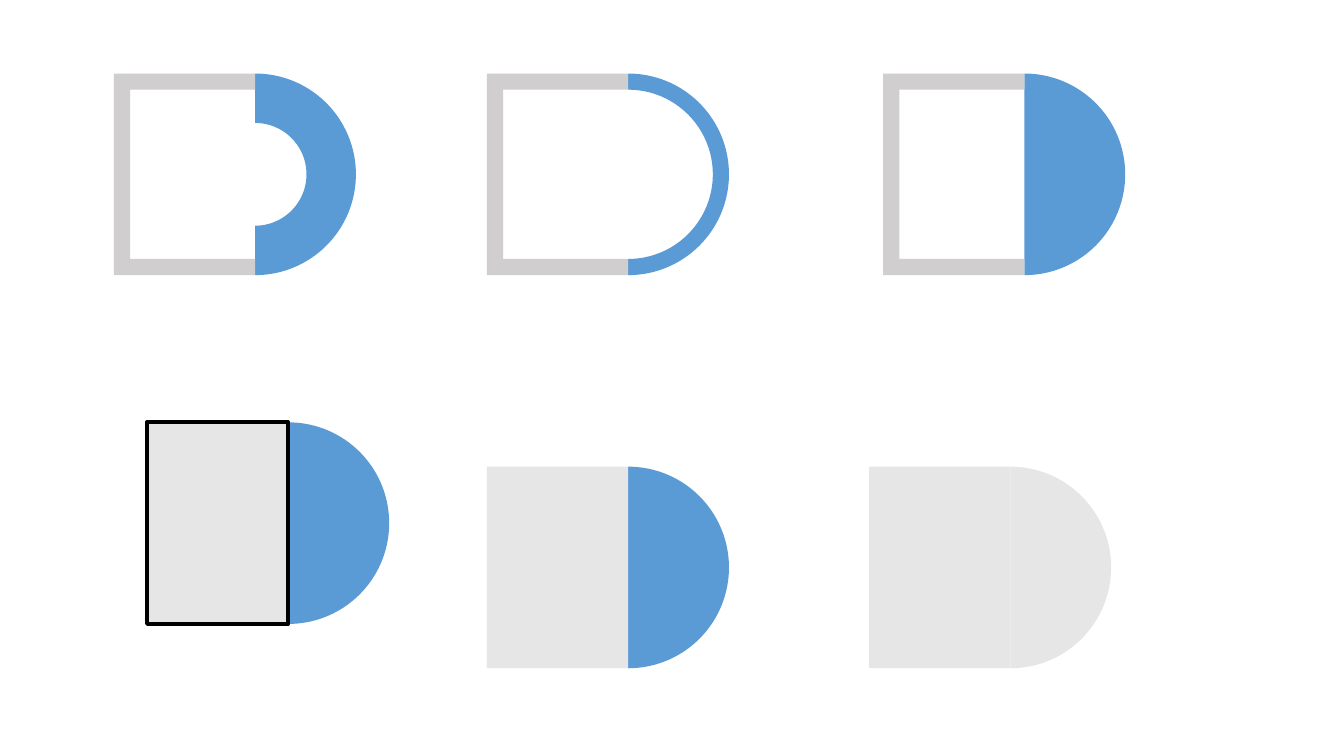
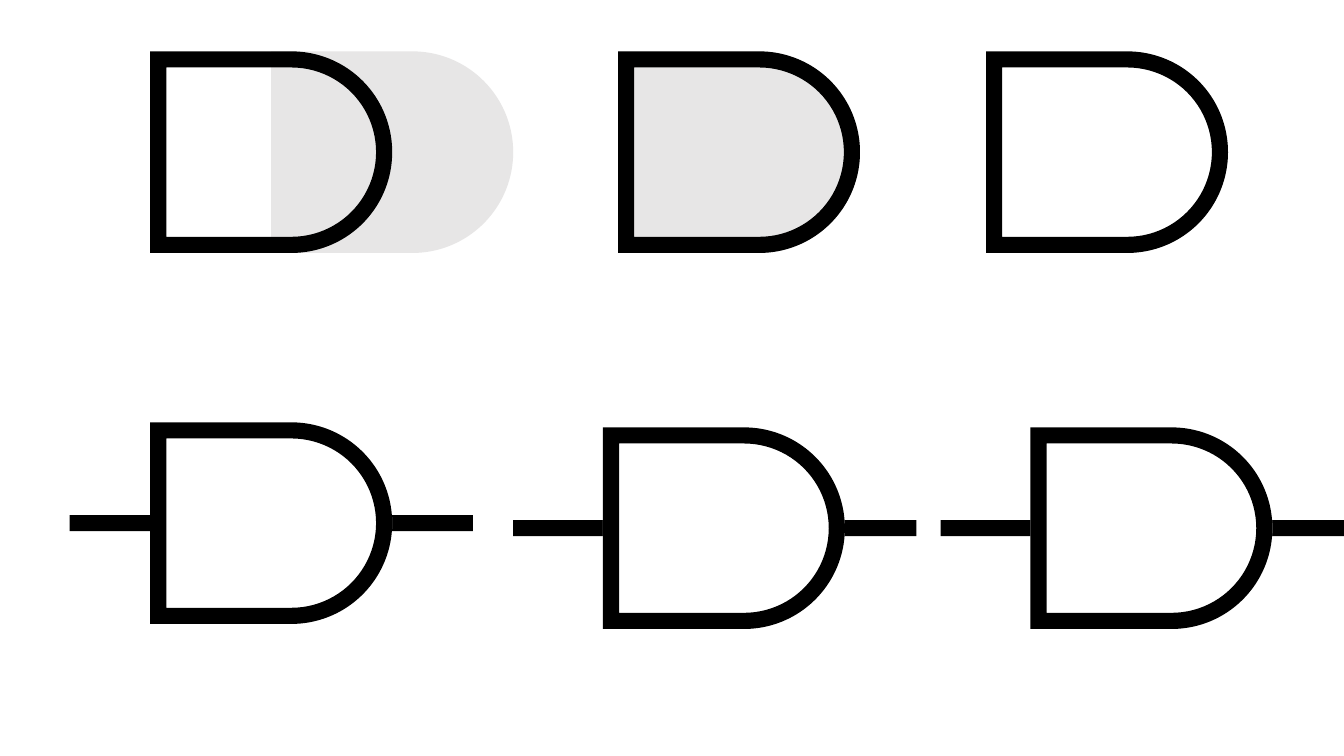
"""Build two slides that assemble a D-shaped logic gate from simple parts."""
from dataclasses import dataclass
from typing import NamedTuple

from lxml import etree
from pptx import Presentation
from pptx.dml.color import RGBColor
from pptx.enum.shapes import MSO_SHAPE
from pptx.oxml.ns import qn
from pptx.util import Emu, Pt

RECTANGLE = MSO_SHAPE.RECTANGLE
BLOCK_ARC = MSO_SHAPE.BLOCK_ARC

PX = 9144
SLIDE_WIDTH, SLIDE_HEIGHT = 1333, 750
BODY_WIDTH, GATE_HEIGHT = 140, 200
RADIUS = GATE_HEIGHT // 2
STROKE = 16
WIRE_LENGTH = 400
HALF_TURN = 108
ARC_START, ARC_SWEEP = "16200000", "10800000"
LINES_PER_GATE = 4

Point = tuple[int, int]


@dataclass(frozen=True)
class Theme:
    ink: RGBColor = RGBColor(0x00, 0x00, 0x00)
    paper: RGBColor = RGBColor(0xFF, 0xFF, 0xFF)
    accent: RGBColor = RGBColor(0x5B, 0x9B, 0xD5)
    bracket: RGBColor = RGBColor(0xD0, 0xCE, 0xCE)
    body: RGBColor = RGBColor(0xE7, 0xE6, 0xE6)
    outline: Pt = Pt(3)


THEME = Theme()


class Assembly(NamedTuple):
    left: int
    top: int
    arc_depth: float
    arc_color: RGBColor = THEME.accent
    bracketed: bool = False
    outlined: bool = False


class Gate(NamedTuple):
    left: int
    top: int
    interior: RGBColor
    interior_shift: int = 0
    wire_lead: int = 0


ASSEMBLIES = (
    Assembly(113, 73, 0.245, bracketed=True),
    Assembly(483, 73, 0.08, bracketed=True),
    Assembly(876, 73, 0.5, bracketed=True),
    Assembly(146, 419, 0.5, outlined=True),
    Assembly(483, 463, 0.5),
    Assembly(862, 463, 0.5, arc_color=THEME.body),
)

GATES = (
    Gate(149, 51, THEME.body, interior_shift=120),
    Gate(613, 51, THEME.body),
    Gate(978, 51, THEME.paper),
    Gate(149, 419, THEME.paper, wire_lead=80),
    Gate(598, 424, THEME.paper, wire_lead=89),
    Gate(1022, 424, THEME.paper, wire_lead=89),
)


def paint(shape, color: RGBColor) -> None:
    shape.shadow.inherit = False
    shape.fill.solid()
    shape.fill.fore_color.rgb = color
    shape.line.fill.background()


def add_preset(shapes, kind, left: int, top: int, width: int, height: int, color: RGBColor):
    shape = shapes.add_shape(kind, *(Emu(n * PX) for n in (left, top, width, height)))
    paint(shape, color)
    return shape


def add_outline(shapes, contours: list[list[Point]], color: RGBColor):
    builder = shapes.build_freeform(*contours[0][0], scale=PX)
    for index, contour in enumerate(contours):
        if index:
            builder.move_to(*contour[0])
        builder.add_line_segments(contour[1:], close=True)
    shape = builder.convert_to_shape()
    paint(shape, color)
    return shape


def gate_contour(left: int, top: int, inset: int) -> list[Point]:
    center_x, center_y = left + BODY_WIDTH, top + RADIUS
    radius = RADIUS - inset
    upper, lower = center_y - radius, center_y + radius
    return [
        (left + inset, upper), (center_x, upper), (center_x + radius, center_y),
        (center_x, lower), (left + inset, lower),
    ]


def add_gate_outline(shapes, left: int, top: int, insets: tuple[int, ...], color: RGBColor) -> None:
    shape = add_outline(shapes, [gate_contour(left, top, inset) for inset in insets], color)
    outline = next(shape.element.iter(qn("a:path")))
    lines = outline.findall(qn("a:lnTo"))
    for index, inset in enumerate(insets):
        first = index * LINES_PER_GATE
        to_apex, from_apex = lines[first + 1:first + 3]
        radius = str(RADIUS - inset)
        arc = etree.Element(qn("a:arcTo"), wR=radius, hR=radius, stAng=ARC_START, swAng=ARC_SWEEP)
        outline.replace(to_apex, arc)
        outline.remove(from_apex)


def add_bracket(shapes, left: int, top: int) -> None:
    right, bottom = left + BODY_WIDTH, top + GATE_HEIGHT
    inner_left, inner_top, inner_bottom = left + STROKE, top + STROKE, bottom - STROKE
    contour = [
        (left, top), (right, top), (right, inner_top), (inner_left, inner_top),
        (inner_left, inner_bottom), (right, inner_bottom), (right, bottom), (left, bottom),
    ]
    add_outline(shapes, [contour], THEME.bracket)


def add_assembly(shapes, part: Assembly) -> None:
    arc_left = part.left + BODY_WIDTH - RADIUS
    arc = add_preset(shapes, BLOCK_ARC, arc_left, part.top, GATE_HEIGHT, GATE_HEIGHT, part.arc_color)
    arc.rotation = 90
    for index, value in enumerate((HALF_TURN, 0, part.arc_depth)):
        arc.adjustments[index] = value
    if part.bracketed:
        add_bracket(shapes, part.left, part.top)
        return
    body = add_preset(shapes, RECTANGLE, part.left, part.top, BODY_WIDTH, GATE_HEIGHT, THEME.body)
    if part.outlined:
        body.line.color.rgb = THEME.ink
        body.line.width = THEME.outline


def add_gate(shapes, gate: Gate) -> None:
    if gate.wire_lead:
        wire_top = gate.top + (GATE_HEIGHT - STROKE) // 2
        add_preset(shapes, RECTANGLE, gate.left - gate.wire_lead, wire_top, WIRE_LENGTH, STROKE, THEME.ink)
    add_gate_outline(shapes, gate.left + gate.interior_shift, gate.top, (0,), gate.interior)
    add_gate_outline(shapes, gate.left, gate.top, (0, STROKE), THEME.ink)


def main() -> None:
    deck = Presentation()
    deck.slide_width, deck.slide_height = Emu(SLIDE_WIDTH * PX), Emu(SLIDE_HEIGHT * PX)
    blank = deck.slide_layouts[6]
    parts_slide = deck.slides.add_slide(blank)
    for part in ASSEMBLIES:
        add_assembly(parts_slide.shapes, part)
    gates_slide = deck.slides.add_slide(blank)
    for gate in GATES:
        grouped = gate.interior == THEME.paper
        add_gate(gates_slide.shapes.add_group_shape().shapes if grouped else gates_slide.shapes, gate)
    deck.save("out.pptx")


if __name__ == "__main__":
    main()
